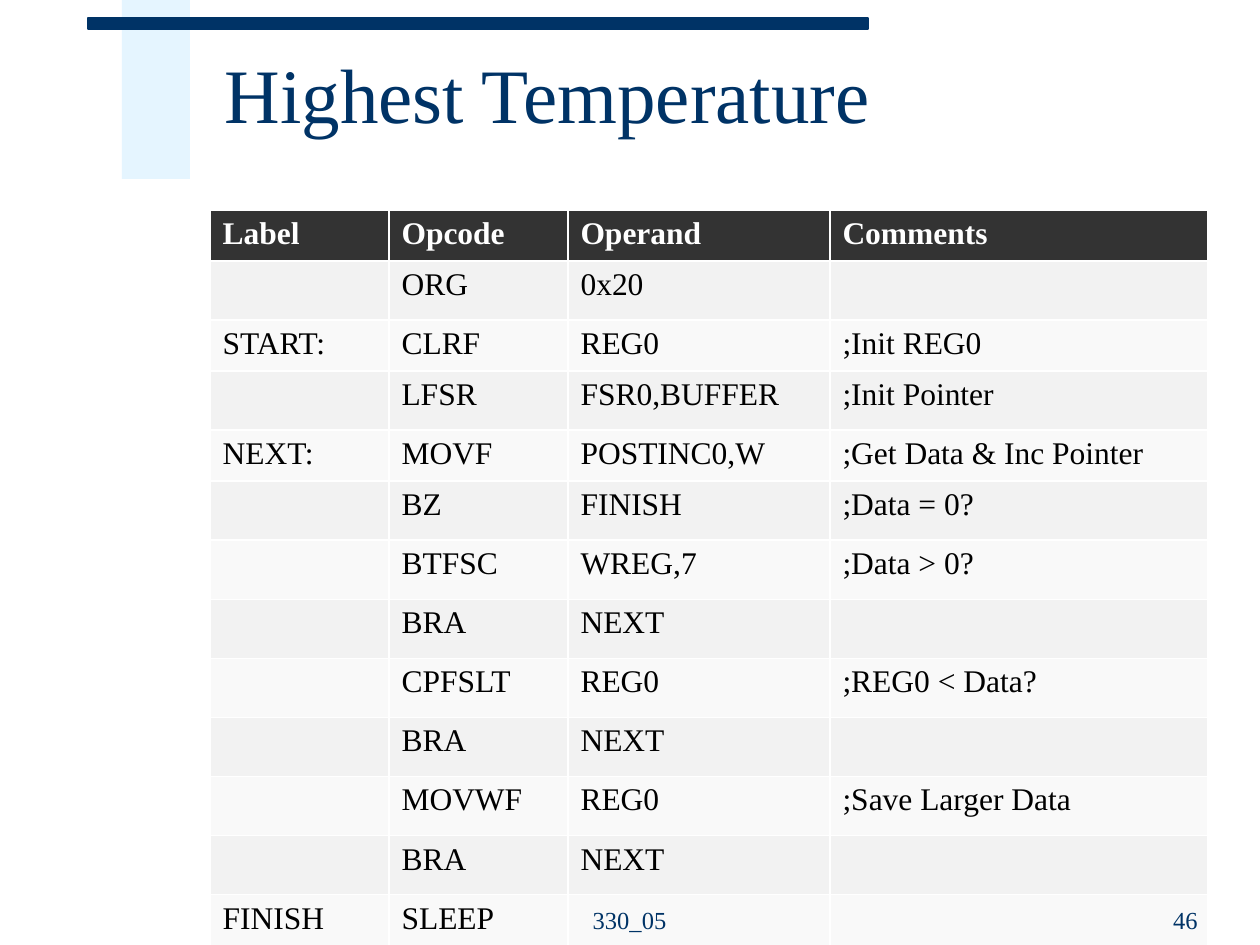
from lxml import etree
from pptx import Presentation
from pptx.dml.color import RGBColor
from pptx.enum.shapes import MSO_SHAPE
from pptx.enum.text import MSO_ANCHOR, PP_ALIGN
from pptx.oxml.ns import qn
from pptx.util import Pt

RECT = MSO_SHAPE.RECTANGLE
MIDDLE, BOTTOM = MSO_ANCHOR.MIDDLE, MSO_ANCHOR.BOTTOM
LEFT, CENTER, RIGHT = PP_ALIGN.LEFT, PP_ALIGN.CENTER, PP_ALIGN.RIGHT

TITLE = "Highest Temperature"
HEADER = ("Label", "Opcode", "Operand", "Comments")
CODE = [
    ("", "ORG", "0x20", ""),
    ("START:", "CLRF", "REG0", ";Init REG0"),
    ("", "LFSR", "FSR0,BUFFER", ";Init Pointer"),
    ("NEXT:", "MOVF", "POSTINC0,W", ";Get Data & Inc Pointer"),
    ("", "BZ", "FINISH", ";Data = 0?"),
    ("", "BTFSC", "WREG,7", ";Data > 0?"),
    ("", "BRA", "NEXT", ""),
    ("", "CPFSLT", "REG0", ";REG0 < Data?"),
    ("", "BRA", "NEXT", ""),
    ("", "MOVWF", "REG0", ";Save Larger Data"),
    ("", "BRA", "NEXT", ""),
    ("FINISH", "SLEEP", "", ""),
]
FOOTERS = [
    ("330_05", (514, 878, 231, 63), CENTER),
    ("46", (908, 878, 302, 63), RIGHT),
]
TITLE_BOX = (212, 21, 1017, 158)
ACCENT_BOX = (122, 0, 68, 179)
RULE_BOX = (88, 18, 780, 11)
TABLE_LEFT, TABLE_TOP, ROW_HEIGHT = 210, 210, 51
COL_WIDTHS = (179, 179, 262, 378)

THEME = {
    "font": "Times New Roman",
    "navy": "003366", "accent": "CCECFF", "accent_alpha": 50,
    "header": "333333", "bands": ("F2F2F2", "F9F9F9"),
    "white": "FFFFFF", "black": "000000",
    "title": 44, "cell": 18, "empty_cell": 24, "footer": 14,
}
SCALE = 914400 / 126


def px(n):
    return round(n * SCALE)


def box(values):
    return [px(v) for v in values]


def color(name):
    return RGBColor.from_string(THEME.get(name, name))


def write(tf, text, size, ink, align=LEFT, bold=False):
    tf.text = text
    p = tf.paragraphs[0]
    p.alignment = align
    for r in p.runs:
        r.font.name = THEME["font"]
        r.font.size = Pt(THEME[size])
        r.font.bold = bold
        r.font.color.rgb = color(ink)
    return p


def add_bar(slide, bounds, fill):
    sp = slide.shapes.add_shape(RECT, *box(bounds))
    sp.shadow.inherit = False
    sp.fill.solid()
    sp.fill.fore_color.rgb = color(fill)
    sp.line.fill.background()
    return sp


def add_title(slide):
    sp = slide.shapes.title
    sp.left, sp.top, sp.width, sp.height = box(TITLE_BOX)
    sp.text_frame.vertical_anchor = MIDDLE
    p = write(sp.text_frame, TITLE, "title", "navy")
    p.line_spacing = 0.85


def size_empty(p):
    end = etree.SubElement(p._p, qn("a:endParaRPr"), sz=str(THEME["empty_cell"] * 100))
    etree.SubElement(end, qn("a:latin"), typeface=THEME["font"])


def add_code_table(slide):
    rows = [HEADER] + CODE
    bounds = (TABLE_LEFT, TABLE_TOP, sum(COL_WIDTHS), ROW_HEIGHT * len(rows))
    table = slide.shapes.add_table(len(rows), len(HEADER), *box(bounds)).table
    for col, width in zip(table.columns, COL_WIDTHS):
        col.width = px(width)
    for i, row in enumerate(rows):
        table.rows[i].height = px(ROW_HEIGHT)
        head = i == 0
        fill = "header" if head else THEME["bands"][(i - 1) % 2]
        for j, text in enumerate(row):
            cell = table.cell(i, j)
            cell.fill.solid()
            cell.fill.fore_color.rgb = color(fill)
            p = write(cell.text_frame, text, "cell", "white" if head else "black", bold=head)
            if not text:
                size_empty(p)


def add_footer(slide, text, bounds, align):
    tf = slide.shapes.add_textbox(*box(bounds)).text_frame
    tf.word_wrap = True
    tf.vertical_anchor = BOTTOM
    write(tf, text, "footer", "navy", align)


def main():
    prs = Presentation()
    prs.slide_width, prs.slide_height = px(1260), px(945)
    slide = prs.slides.add_slide(prs.slide_layouts[5])

    accent = add_bar(slide, ACCENT_BOX, "accent")
    tint = accent.fill._xPr.find(".//" + qn("a:srgbClr"))
    etree.SubElement(tint, qn("a:alpha"), val=str(THEME["accent_alpha"] * 1000))
    rule = add_bar(slide, RULE_BOX, "navy")
    rule.line.color.rgb = color("navy")
    rule.line.width = Pt(0.75)

    add_title(slide)
    add_code_table(slide)
    for footer in FOOTERS:
        add_footer(slide, *footer)
    prs.save("out.pptx")


if __name__ == "__main__":
    main()
